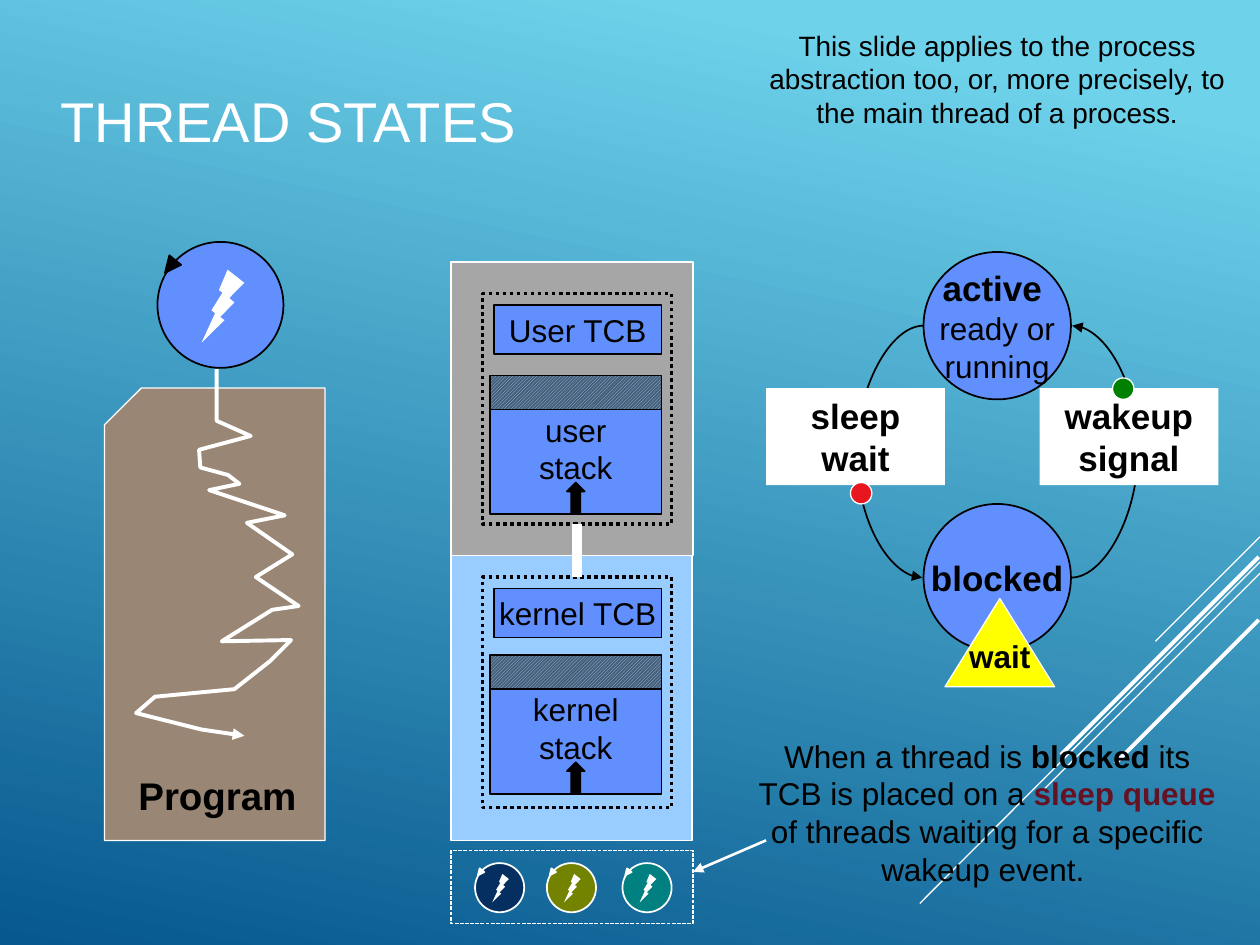
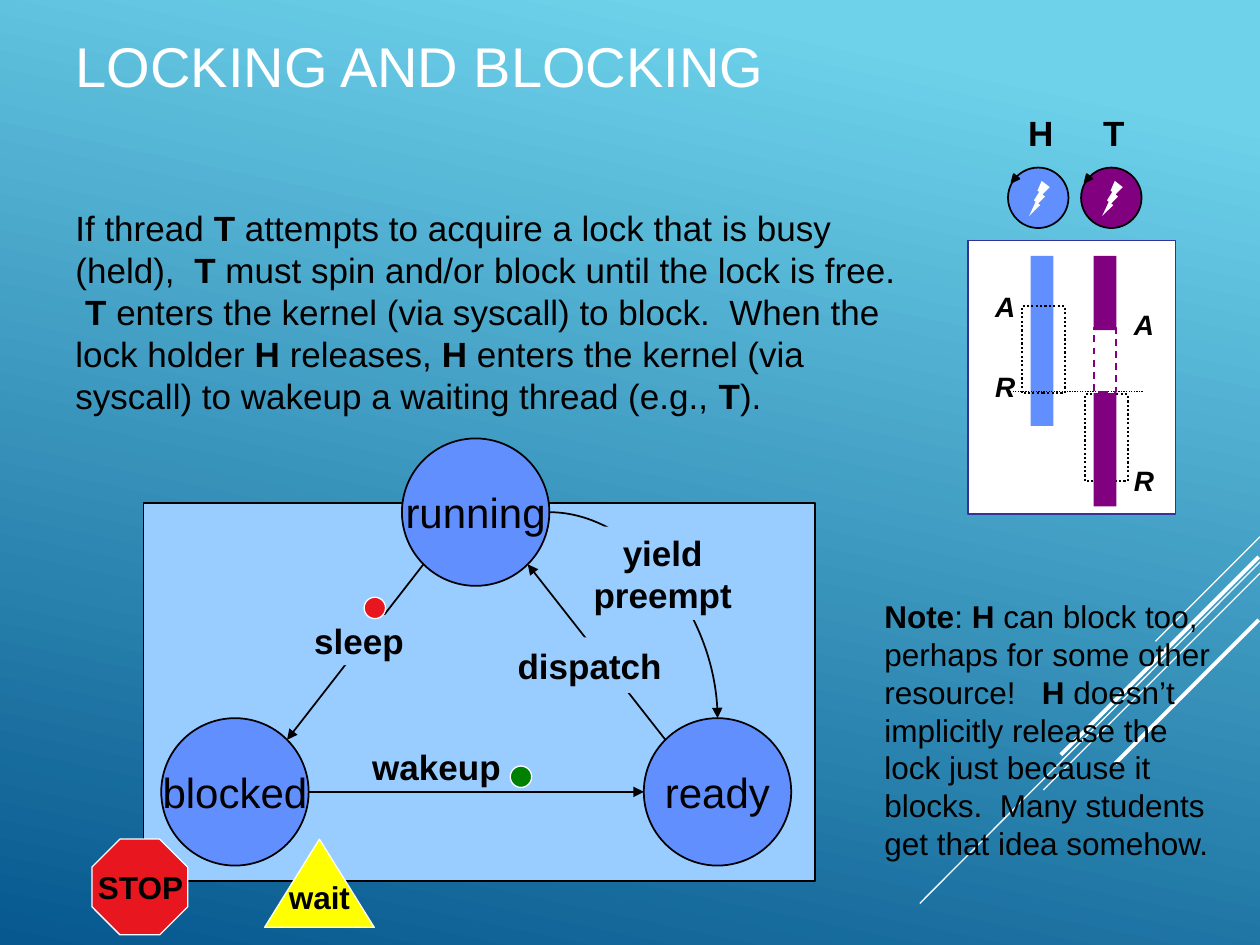
from math import cos, radians, sin

from lxml.etree import SubElement
from pptx import Presentation
from pptx.dml.color import RGBColor
from pptx.enum.dml import MSO_LINE, MSO_PATTERN
from pptx.enum.shapes import MSO_CONNECTOR, MSO_SHAPE
from pptx.enum.text import MSO_ANCHOR, PP_ALIGN
from pptx.oxml.ns import qn
from pptx.util import Inches, Pt

FONT = "Arial"
WHITE, BLACK = "FFFFFF", "000000"
BLUE, SKY, PURPLE = "618FFD", "99CCFF", "800080"
RED, GREEN, YELLOW = "E8161F", "008000", "FFFF00"
DISC = 1.17
STRIPES = [
    (10, 4.26, 9.17, 5.09, 0.75),
    (10, 4.46, 7.3, 7.17, 0.75),
    (10, 4.55, 8.28, 6.27, 0.75),
    (9.99, 4.42, 8.42, 5.99, 2.25),
    (9.99, 4.92, 8.85, 6.06, 2.25),
]
TRACE = [
    (0.89, -0.15), (0.89, 0.26), (1.16, 0.38), (0.75, 0.49), (0.76, 0.63),
    (0.98, 0.69), (1.07, 0.76), (0.83, 0.81), (1.43, 1.01), (1.13, 1.07),
    (1.49, 1.32), (1.2, 1.5), (1.54, 1.73), (1.33, 1.76), (0.93, 2.01),
    (1.48, 2), (1.31, 2.17), (1.03, 2.39), (0.4, 2.45), (0.25, 2.58),
    (0.77, 2.71), (1.11, 2.76),
]


def ink(tone):
    return RGBColor.from_string(tone)


def style(item, **values):
    for name, value in values.items():
        setattr(item, name, value)


def paint(fill, tone):
    if tone:
        fill.solid()
        fill.fore_color.rgb = ink(tone)
    else:
        fill.background()


def stroke(line, tone, width=1, dash=None):
    paint(line.fill, tone)
    if tone:
        line.width = Pt(width)
    if dash:
        line.dash_style = dash


def write(frame, text, size, bold=False, center=True, wrap=False,
          anchor=MSO_ANCHOR.MIDDLE, italic=False, tones={}):
    style(frame, word_wrap=wrap, vertical_anchor=anchor)
    for n, words in enumerate(text.split("\n")):
        para = frame.add_paragraph() if n else frame.paragraphs[0]
        style(para, alignment=PP_ALIGN.CENTER if center else PP_ALIGN.LEFT,
              line_spacing=Pt(size * 1.2))
        for m, part in enumerate(words.split("*")):
            if part:
                run = para.add_run()
                run.text = part
                style(run.font, name=FONT, size=Pt(size), italic=italic,
                      bold=bold or m % 2 == 1)
                run.font.color.rgb = ink(tones.get(part, BLACK))


def box(slide, kind, at, fill=None, edge=None, width=1, dash=None, flip=False, turn=0):
    shape = slide.shapes.add_shape(kind, *map(Inches, at))
    shape.shadow.inherit = False
    paint(shape.fill, fill)
    stroke(shape.line, edge, width, dash)
    shape.rotation = turn
    if flip:
        shape._element.spPr.xfrm.set("flipH", "1")
    return shape


def rect(slide, at, *args, **kw):
    return box(slide, MSO_SHAPE.RECTANGLE, at, *args, **kw)


def label(slide, at, text, size, **kw):
    area = slide.shapes.add_textbox(*map(Inches, at))
    write(area.text_frame, text, size, **kw)


def tip(line):
    SubElement(line.get_or_add_ln(), qn("a:tailEnd"), type="triangle")


def rule(slide, ends, tone, width=1, dash=None, kind=MSO_CONNECTOR.STRAIGHT, arrow=False):
    line = slide.shapes.add_connector(kind, *map(Inches, ends))
    stroke(line.line, tone, width, dash)
    if arrow:
        tip(line)
    SubElement(line._element.spPr, qn("a:effectLst"))
    return line


def site(disc, spot):
    angle = radians(90 + 45 * spot)
    half = DISC / 2
    return (disc.left.inches + half + half * cos(angle),
            disc.top.inches + half - half * sin(angle))


def link(slide, start, out, end, into, bend=None, shift=0):
    x, y = site(end, into)
    kind = MSO_CONNECTOR.CURVE if bend else MSO_CONNECTOR.STRAIGHT
    line = rule(slide, (*site(start, out), x + shift, y), BLACK, kind=kind, arrow=True)
    joint = line._element.nvCxnSpPr.cNvCxnSpPr
    for tag, disc, spot in (("a:stCxn", start, out), ("a:endCxn", end, into)):
        SubElement(joint, qn(tag), id=str(disc.shape_id), idx=str(spot))
    if bend:
        shape = line._element.spPr.find(qn("a:prstGeom"))
        shape.set("prst", bend)
        if shift:
            SubElement(shape.find(qn("a:avLst")), qn("a:gd"), name="adj1", fmla="val 5400000")


def page(deck, title, at):
    slide = deck.slides.add_slide(deck.slide_layouts[5])
    for *ends, width in STRIPES:
        rule(slide, ends, WHITE, width)
    head = slide.shapes.title
    style(head, **dict(zip(("left", "top", "width", "height"), map(Inches, at))))
    write(head.text_frame, title, 32, center=False, wrap=True, tones={title: WHITE})
    return slide


def thread(slide, x, y, size, tone, edge=BLACK):
    def part(left, top, wide, high):
        return x + left * size, y + top * size, wide * size, high * size

    box(slide, MSO_SHAPE.OVAL, part(0, 0, 1, 1), tone, edge)
    box(slide, MSO_SHAPE.LIGHTNING_BOLT, part(0.35, 0.22, 0.34, 0.58), WHITE, flip=True)
    box(slide, MSO_SHAPE.ISOSCELES_TRIANGLE, part(0.04, 0.13, 0.12, 0.13), edge, edge, turn=219)


def state(slide, x, y, text, size, bold=False):
    disc = box(slide, MSO_SHAPE.OVAL, (x, y, DISC, DISC), BLUE, BLACK)
    write(disc.text_frame, text, size, bold=bold)
    return disc


def lamp(slide, x, y, tone):
    box(slide, MSO_SHAPE.OVAL, (x, y, 0.17, 0.17), tone, WHITE, 0.75)


def sign(slide, x, y):
    box(slide, MSO_SHAPE.FLOWCHART_MERGE, (x, y, 0.87, 0.7), YELLOW, WHITE, 0.75, turn=180)
    label(slide, (x + 0.09, y + 0.26, 0.69, 0.4), "wait", 18, bold=True, anchor=MSO_ANCHOR.TOP)


def plate(slide, at, text, tone):
    write(rect(slide, at, tone).text_frame, text, 20, bold=True)


def program(slide, x, y):
    box(slide, MSO_SHAPE.SNIP_1_RECTANGLE, (x, y, 1.75, 3.59), "998674", WHITE, 0.75, flip=True)
    path = [(Inches(x + a), Inches(y + b)) for a, b in TRACE]
    pen = slide.shapes.build_freeform(*path[0])
    pen.add_line_segments(path[1:], close=False)
    trace = pen.convert_to_shape()
    trace.shadow.inherit = False
    paint(trace.fill, None)
    stroke(trace.line, WHITE, 2.25)
    tip(trace)
    label(slide, (x + 0.17, y + 3, 2.01, 0.47), "Program", 22, bold=True,
          center=False, wrap=True, anchor=MSO_ANCHOR.TOP)
    thread(slide, x + 0.42, y - 1.16, 1, BLUE)


def stack(slide, x, y, tcb, text, drop):
    left, top = x + 0.06, y + drop
    rect(slide, (left, top + 0.27, 1.36, 0.83), BLUE, BLACK)
    label(slide, (left, top + 0.23, 1.36, 0.71), text, 18, anchor=MSO_ANCHOR.TOP)
    box(slide, MSO_SHAPE.UP_ARROW, (x + 0.67, top + 0.85, 0.14, 0.25), BLACK, BLACK)
    band = rect(slide, (left, top, 1.36, 0.27), BLUE, BLACK)
    band.fill.patterned()
    band.fill.pattern = MSO_PATTERN.DARK_UPWARD_DIAGONAL
    band.fill.fore_color.rgb = ink(SKY)
    band.fill.back_color.rgb = ink("475E76")
    name = rect(slide, (x + 0.09, y + 0.09, 1.33, 0.39), BLUE, BLACK)
    write(name.text_frame, tcb, 18)
    return rect(slide, (x, y, 1.5, 1.83), None, BLACK, 2, MSO_LINE.ROUND_DOT)


def memory(slide, x, y):
    box(slide, MSO_SHAPE.FLOWCHART_PROCESS, (x, y + 1.92, 1.91, 2.67), SKY, WHITE)
    box(slide, MSO_SHAPE.FLOWCHART_PROCESS, (x, y, 1.92, 2.33), "A6A6A6", WHITE)
    user = stack(slide, x + 0.25, y + 0.25, "User TCB", "user\nstack", 0.65)
    core = stack(slide, x + 0.25, y + 2.5, "kernel TCB", "kernel\nstack", 0.62)
    bridge = rule(slide, (x + 1, y + 2.08, x + 1, y + 2.5), WHITE, 6)
    bridge.begin_connect(user, 2)
    bridge.end_connect(core, 0)


def queue(slide, x, y):
    for dx, tone in ((0.19, "052F61"), (0.76, "738300"), (1.36, "008080")):
        thread(slide, x + dx, y + 0.1, 0.39, tone, WHITE)
    rect(slide, (x, y, 1.92, 0.58), None, WHITE, 0.75, MSO_LINE.SQUARE_DOT)
    rule(slide, (x + 2.5, y - 0.08, x + 1.92, y + 0.17), WHITE, 1.5, arrow=True)


def cycle(slide, x, y):
    active = state(slide, x + 1.25, y, "*active *\nready or\nrunning", 18)
    first = active.text_frame.paragraphs[0]
    first.line_spacing = Pt(24)
    first.runs[0].font.size = Pt(20)
    blocked = state(slide, x + 1.25, y + 2, "blocked", 20, bold=True)
    sign(slide, x + 1.42, y + 2.75)
    link(slide, blocked, 6, active, 6, "curvedConnector3", 0.01)
    link(slide, active, 2, blocked, 2, "curvedConnector3", -0.01)
    plate(slide, (x, y + 1.08, 1.42, 0.77), "sleep\nwait", WHITE)
    plate(slide, (x + 2.17, y + 1.08, 1.42, 0.77), "wakeup\nsignal", WHITE)
    lamp(slide, x + 0.67, y + 1.83, RED)
    lamp(slide, x + 2.75, y + 1, GREEN)


def states(slide, x, y):
    box(slide, MSO_SHAPE.FLOWCHART_PROCESS, (x, y, 5.33, 3), SKY, BLACK)
    running = state(slide, x + 2.05, y - 0.51, "running", 24)
    ready = state(slide, x + 3.97, y + 1.71, "ready", 24)
    blocked = state(slide, x + 0.14, y + 1.71, "blocked", 24)
    link(slide, running, 3, blocked, 7)
    link(slide, blocked, 6, ready, 2)
    link(slide, running, 6, ready, 0, "curvedConnector2")
    link(slide, ready, 1, running, 5)
    plate(slide, (x + 1.09, y + 0.89, 1.24, 0.4), "sleep", SKY)
    plate(slide, (x + 2.83, y + 1.07, 1.42, 0.44), "dispatch", SKY)
    plate(slide, (x + 3.5, y + 0.19, 1.24, 0.74), "yield\npreempt", SKY)
    label(slide, (x + 1.41, y + 1.87, 1.83, 0.44), "wakeup", 20, bold=True)
    lamp(slide, x + 1.75, y + 0.75, RED)
    lamp(slide, x + 2.91, y + 2.09, GREEN)
    box(slide, MSO_SHAPE.OCTAGON, (x - 0.41, y + 2.67, 0.76, 0.76), RED, WHITE, 0.75)
    label(slide, (x - 0.47, y + 2.85, 0.89, 0.4), "STOP", 18, bold=True, anchor=MSO_ANCHOR.TOP)
    sign(slide, x + 0.96, y + 2.67)


def timeline(slide, x, y):
    rect(slide, (x, y, 1.65, 2.17), WHITE, "333399")
    for dx, name, tone in ((0.32, "H", BLUE), (0.9, "T", PURPLE)):
        thread(slide, x + dx, y - 0.58, 0.48, tone)
        label(slide, (x + dx + 0.06, y - 1.08, 0.4, 0.44), name, 20, bold=True)
    rect(slide, (x + 0.5, y + 0.12, 0.18, 1.35), BLUE)
    for dx, dy in ((0.43, 0.52), (0.93, 1.22)):
        rect(slide, (x + dx, y + dy, 0.34, 0.69), None, BLACK, 1.25, MSO_LINE.ROUND_DOT)
    rule(slide, (x + 1.39, y + 1.2, x + 0.31, y + 1.2), BLACK, 0.75, MSO_LINE.ROUND_DOT)
    for dy, high in ((0.12, 0.59), (1.21, 0.9)):
        rect(slide, (x + 1, y + dy, 0.18, high), PURPLE)
    rect(slide, (x + 1, y + 0.69, 0.18, 0.51), None, PURPLE, 1, MSO_LINE.DASH)
    for dx, dy, name in ((0.12, 0.34, "A"), (1.22, 0.48, "A"), (0.12, 0.97, "R"), (1.22, 1.72, "R")):
        label(slide, (x + dx, y + dy, 0.35, 0.37), name, 16, bold=True, italic=True)


def main():
    deck = Presentation()
    style(deck, slide_width=Inches(10), slide_height=Inches(7.5))
    back = deck.slide_master.background.fill
    back.gradient()
    back.gradient_angle = 258
    for stop, place, tone in zip(back.gradient_stops, (0.1, 1), ("6ED2EB", "06588E")):
        stop.position = place
        stop.color.rgb = ink(tone)

    slide = page(deck, "THREAD STATES", (0.38, 0.25, 7.17, 1.41))
    program(slide, 0.83, 3.08)
    memory(slide, 3.58, 2.08)
    cycle(slide, 6.08, 2)
    label(slide, (5.92, 5.79, 3.83, 1.31),
          "When a thread is *blocked* its TCB is placed on a *sleep queue* of threads "
          "waiting for a specific wakeup event. ", 18, wrap=True, tones={"sleep queue": "651222"})
    queue(slide, 3.58, 6.75)
    label(slide, (6, 0.17, 3.83, 0.91),
          "This slide applies to the process abstraction too, or, more precisely, "
          "to the main thread of a process.", 16, wrap=True)

    slide = page(deck, "LOCKING AND BLOCKING", (0.5, -0.33, 9, 1.7))
    states(slide, 1.14, 3.99)
    label(slide, (0.5, 1.58, 6.75, 1.78),
          "If thread *T* attempts to acquire a lock that is busy (held),  *T* must spin "
          "and/or block until the lock is free.  *T* enters the kernel (via syscall) to "
          "block.  When the lock holder *H* releases, *H* enters the kernel (via syscall) "
          "to wakeup a waiting thread (e.g., *T*).", 20, center=False, wrap=True)
    label(slide, (6.92, 4.68, 2.92, 2.22),
          "*Note*: *H* can block too, perhaps for some other resource!   *H* doesn’t "
          "implicitly release the lock just because it blocks.  Many students get that "
          "idea somehow.", 18, center=False, wrap=True)
    timeline(slide, 7.68, 1.91)
    deck.save("out.pptx")


if __name__ == "__main__":
    main()
